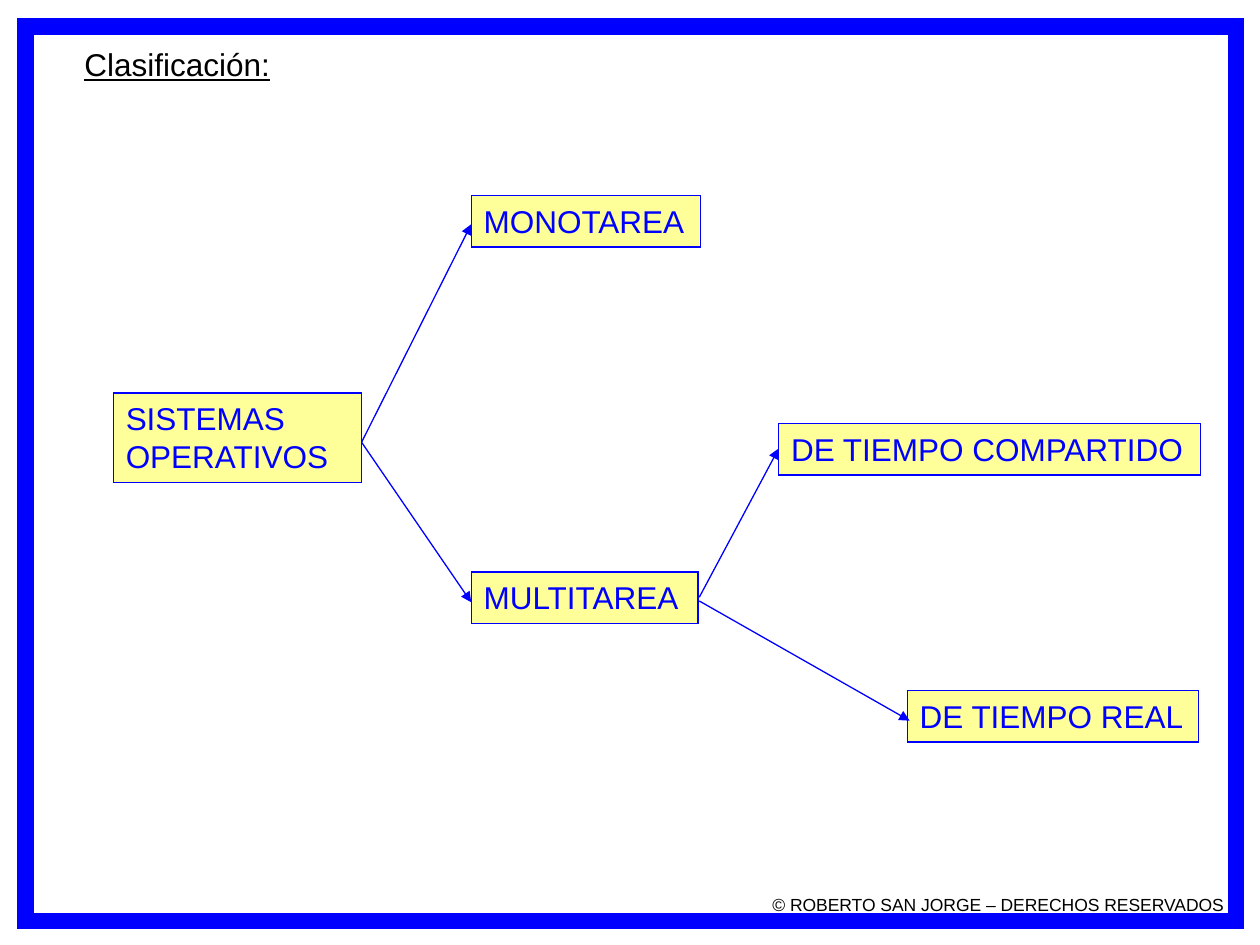
from typing import NamedTuple

from lxml.etree import SubElement
from pptx import Presentation
from pptx.dml.color import RGBColor
from pptx.enum.shapes import MSO_CONNECTOR, MSO_SHAPE
from pptx.enum.text import MSO_ANCHOR, MSO_AUTO_SIZE, PP_ALIGN
from pptx.oxml.ns import qn
from pptx.util import Inches, Pt

BLUE, YELLOW, BLACK = "0000FF", "FFFF99", "000000"


class Node(NamedTuple):
    text: str
    left: float
    top: float
    width: float
    height: float = 0.41


class Arrow(NamedTuple):
    start: tuple[float, float]
    end: tuple[float, float]


NODES = [
    Node("SISTEMAS\nOPERATIVOS", 0.9, 3.12, 1.97, 0.71),
    Node("MONOTAREA", 3.74, 1.55, 1.82),
    Node("MULTITAREA", 3.74, 4.54, 1.8),
    Node("DE TIEMPO COMPARTIDO", 6.18, 3.36, 3.35),
    Node("DE TIEMPO REAL", 7.2, 5.48, 2.31),
]
ARROWS = [
    Arrow((2.87, 3.51), (3.74, 1.78)),
    Arrow((2.87, 3.51), (3.74, 4.78)),
    Arrow((5.55, 4.74), (6.18, 3.56)),
    Arrow((5.55, 4.77), (7.22, 5.72)),
]


def color(value: str) -> RGBColor:
    return RGBColor.from_string(value)


def write(shape, text: str, size: float, ink: str, align=PP_ALIGN.LEFT,
          anchor=MSO_ANCHOR.TOP, underline: bool = False) -> None:
    frame = shape.text_frame
    frame.text = text
    frame.word_wrap = True
    frame.vertical_anchor = anchor
    for para in frame.paragraphs:
        para.alignment = align
        for span in para.runs:
            span.font.name = "Arial"
            span.font.size = Pt(size)
            span.font.color.rgb = color(ink)
            span.font.underline = underline


def add_box(page, left: float, top: float, width: float, height: float,
            line_width: float, fill: str | None = None):
    box = page.shapes.add_shape(MSO_SHAPE.RECTANGLE, Inches(left), Inches(top),
                                Inches(width), Inches(height))
    box.shadow.inherit = False
    if fill:
        box.fill.solid()
        box.fill.fore_color.rgb = color(fill)
    else:
        box.fill.background()
    box.line.color.rgb = color(BLUE)
    box.line.width = Pt(line_width)
    # Square corners
    SubElement(box.line._get_or_add_ln(), qn("a:miter"), lim="800000")
    return box


def add_node(page, node: Node) -> None:
    box = add_box(page, node.left, node.top, node.width, node.height, 0.75, YELLOW)
    write(box, node.text, 18, BLUE)


def add_arrow(page, arrow: Arrow) -> None:
    points = [Inches(value) for value in arrow.start + arrow.end]
    connector = page.shapes.add_connector(MSO_CONNECTOR.STRAIGHT, *points)
    connector.line.color.rgb = color(BLUE)
    connector.line.width = Pt(0.75)
    SubElement(connector.line._get_or_add_ln(), qn("a:tailEnd"), type="triangle")
    SubElement(connector._element.spPr, qn("a:effectLst"))


deck = Presentation()
deck.slide_width, deck.slide_height = Inches(10), Inches(7.5)
page = deck.slides.add_slide(deck.slide_layouts[5])

# Page frame with the rights notice
border = add_box(page, 0.2, 0.21, 9.61, 7.1, 9.5)
write(border, "© ROBERTO SAN JORGE – DERECHOS RESERVADOS", 10, BLACK,
      PP_ALIGN.RIGHT, MSO_ANCHOR.BOTTOM)

# Title, with the right inset freed so that it stays on one line
title = page.shapes.title
title.left, title.top = Inches(0.57), Inches(0.31)
title.width, title.height = Inches(1.67), Inches(0.4)
write(title, "Clasificación:", 18, BLACK, underline=True)
title.text_frame.margin_right = Inches(0)
title.text_frame.auto_size = MSO_AUTO_SIZE.NONE

# Classification tree
for node in NODES:
    add_node(page, node)
for arrow in ARROWS:
    add_arrow(page, arrow)

deck.save("out.pptx")
